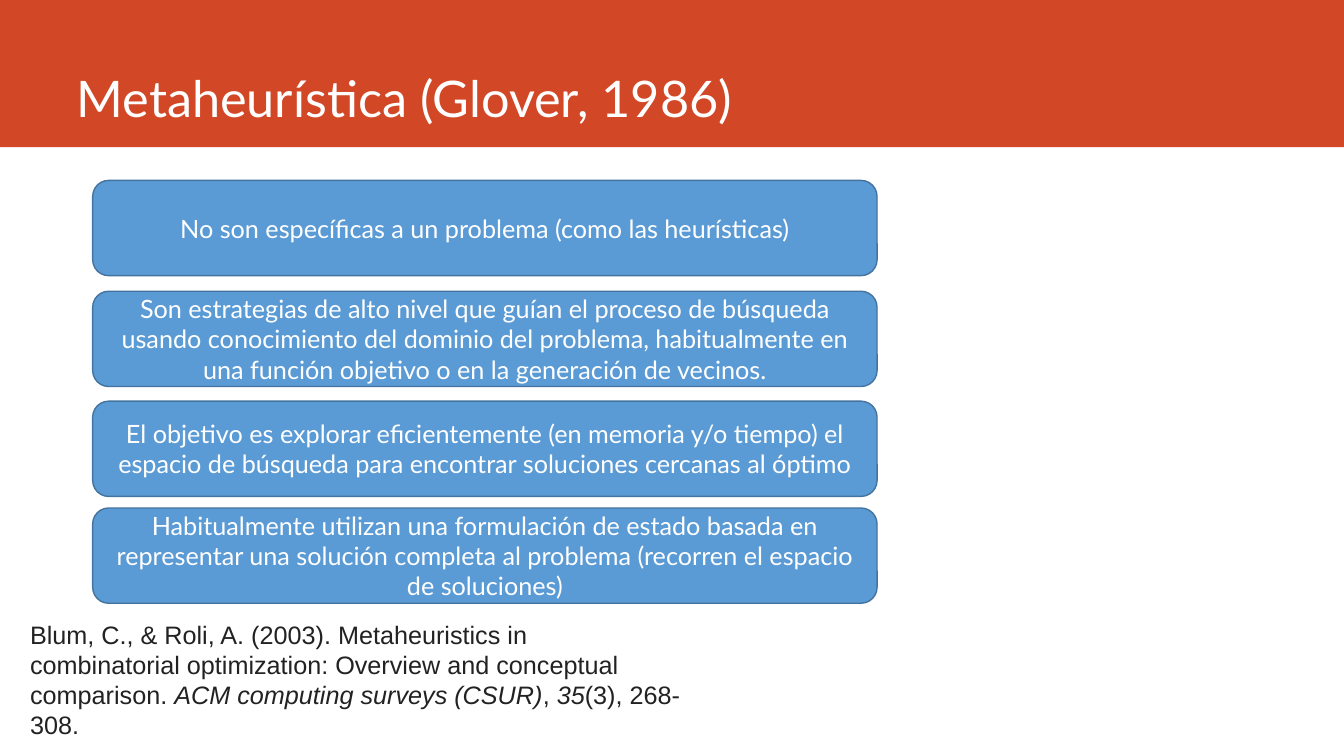
"""Build the slide that describes metaheuristics."""
from dataclasses import dataclass

from pptx import Presentation
from pptx.dml.color import RGBColor
from pptx.enum.shapes import MSO_SHAPE
from pptx.enum.text import MSO_ANCHOR, MSO_AUTO_SIZE, PP_ALIGN
from pptx.shapes.autoshape import Shape
from pptx.slide import Slide
from pptx.text.text import Font
from pptx.util import Inches, Pt

SLIDE_WIDTH, SLIDE_HEIGHT = Inches(13.33), Inches(7.5)
BAND_RED = RGBColor(0xD2, 0x47, 0x26)
IDEA_BLUE = RGBColor(0x5B, 0x9B, 0xD5)
EDGE_BLUE = RGBColor(0x43, 0x73, 0x9E)
WHITE = RGBColor(0xFF, 0xFF, 0xFF)
CITATION_GREY = RGBColor(0x22, 0x22, 0x22)

TITLE_FONT = {"name": "Lato", "size": Pt(36)}
IDEA_FONT = {"name": "Lato", "size": Pt(18)}
CITATION_FONT = {"name": "Arial", "size": Pt(18)}
TITLE_FRAME = {"vertical_anchor": MSO_ANCHOR.BOTTOM, "word_wrap": True,
               "auto_size": MSO_AUTO_SIZE.NONE}
IDEA_FRAME = {"vertical_anchor": MSO_ANCHOR.MIDDLE, "word_wrap": True}
CITATION_FRAME = {"word_wrap": True, "auto_size": MSO_AUTO_SIZE.SHAPE_TO_FIT_TEXT}


@dataclass(frozen=True)
class Area:
    """A rectangle in percent of the slide's width and height."""
    left: float
    top: float
    width: float
    height: float

    def box(self) -> tuple[int, int, int, int]:
        """Return left, top, width and height as lengths."""
        return (round(SLIDE_WIDTH * self.left / 100), round(SLIDE_HEIGHT * self.top / 100),
                round(SLIDE_WIDTH * self.width / 100), round(SLIDE_HEIGHT * self.height / 100))


@dataclass(frozen=True)
class Idea:
    """One statement and the percent of the slide's height where it starts."""
    top: float
    statement: str


@dataclass(frozen=True)
class CitationPart:
    """A stretch of the citation in one style."""
    words: str
    italic: bool = False


BAND_AREA = Area(0, 0, 100, 19.47)
TITLE_AREA = Area(4.95, 0, 88.22, 17.6)
CITATION_AREA = Area(1.5, 81.2, 50.04, 17.47)
IDEA_LEFT, IDEA_WIDTH, IDEA_HEIGHT = 6.9, 58.36, 12.6

IDEAS = [
    Idea(23.87, "No son específicas a un problema (como las heurísticas)"),
    Idea(38.53, "Son estrategias de alto nivel que guían el proceso de búsqueda usando "
                "conocimiento del dominio del problema, habitualmente en una función "
                "objetivo o en la generación de vecinos."),
    Idea(53.07, "El objetivo es explorar eficientemente (en memoria y/o tiempo) el espacio "
                "de búsqueda para encontrar soluciones cercanas al óptimo"),
    Idea(67.2, "Habitualmente utilizan una formulación de estado basada en representar una "
               "solución completa al problema (recorren el espacio de soluciones)"),
]
CITATION = [
    CitationPart("Blum, C., & Roli, A. (2003). Metaheuristics in combinatorial optimization: "
                 "Overview and conceptual comparison. "),
    CitationPart("ACM computing surveys (CSUR)", True),
    CitationPart(", "),
    CitationPart("35", True),
    CitationPart("(3), 268-308."),
]


def apply_format(target: object, values: dict) -> None:
    """Set each attribute of the target from the format values."""
    for attribute, value in values.items():
        setattr(target, attribute, value)


def style_font(font: Font, values: dict, color: RGBColor) -> None:
    """Apply the format values and colour to a font."""
    apply_format(font, values)
    font.color.rgb = color


def add_filled(slide: Slide, kind: MSO_SHAPE, area: Area, color: RGBColor) -> Shape:
    """Add a flat, filled shape without a shadow."""
    filled = slide.shapes.add_shape(kind, *area.box())
    filled.shadow.inherit = False
    filled.fill.solid()
    filled.fill.fore_color.rgb = color
    return filled


def add_heading(slide: Slide) -> None:
    """Fill the title placeholder over the red band."""
    band = add_filled(slide, MSO_SHAPE.RECTANGLE, BAND_AREA, BAND_RED)
    band.line.fill.background()
    heading = slide.shapes.title
    heading._element.addprevious(band._element)
    apply_format(heading, dict(zip(("left", "top", "width", "height"), TITLE_AREA.box())))
    apply_format(heading.text_frame, TITLE_FRAME)
    heading.text_frame.text = "Metaheurística (Glover, 1986)"
    paragraph = heading.text_frame.paragraphs[0]
    paragraph.alignment = PP_ALIGN.LEFT
    style_font(paragraph.runs[0].font, TITLE_FONT, WHITE)


def add_idea(slide: Slide, idea: Idea) -> None:
    """Add a rounded box holding one statement."""
    area = Area(IDEA_LEFT, idea.top, IDEA_WIDTH, IDEA_HEIGHT)
    card = add_filled(slide, MSO_SHAPE.ROUNDED_RECTANGLE, area, IDEA_BLUE)
    card.line.color.rgb = EDGE_BLUE
    card.line.width = Pt(1)
    apply_format(card.text_frame, IDEA_FRAME)
    card.text_frame.text = idea.statement
    paragraph = card.text_frame.paragraphs[0]
    paragraph.alignment = PP_ALIGN.CENTER
    style_font(paragraph.runs[0].font, IDEA_FONT, WHITE)


def add_citation(slide: Slide, parts: list[CitationPart]) -> None:
    """Add the reference with its italic parts."""
    citation = slide.shapes.add_textbox(*CITATION_AREA.box())
    apply_format(citation.text_frame, CITATION_FRAME)
    for part in parts:
        run = citation.text_frame.paragraphs[0].add_run()
        run.text = part.words
        style_font(run.font, {**CITATION_FONT, "italic": part.italic}, CITATION_GREY)


def main() -> None:
    """Create and save the presentation."""
    deck = Presentation()
    apply_format(deck, {"slide_width": SLIDE_WIDTH, "slide_height": SLIDE_HEIGHT})
    slide = deck.slides.add_slide(deck.slide_layouts[5])
    add_heading(slide)
    for idea in IDEAS:
        add_idea(slide, idea)
    add_citation(slide, CITATION)
    deck.save("out.pptx")


if __name__ == "__main__":
    main()
